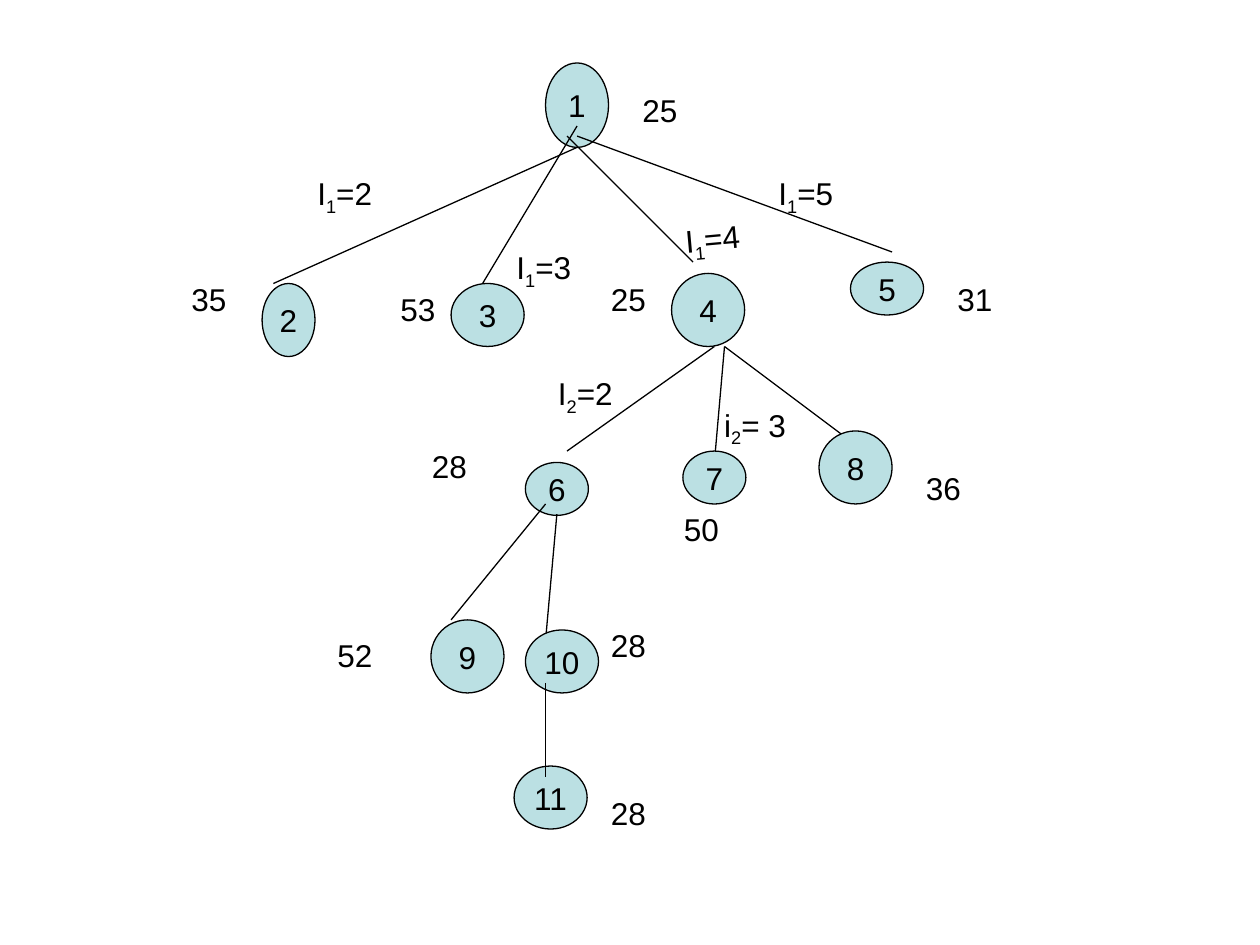
from typing import NamedTuple

from lxml import etree
from pptx import Presentation
from pptx.dml.color import RGBColor
from pptx.enum.shapes import MSO_CONNECTOR, MSO_SHAPE
from pptx.enum.text import MSO_ANCHOR, MSO_AUTO_SIZE, PP_ALIGN
from pptx.oxml.ns import qn
from pptx.util import Inches, Pt

OVAL = MSO_SHAPE.OVAL
STRAIGHT = MSO_CONNECTOR.STRAIGHT
MIDDLE = MSO_ANCHOR.MIDDLE
CENTER = PP_ALIGN.CENTER
GROW = MSO_AUTO_SIZE.SHAPE_TO_FIT_TEXT

FONT = "Arial"
SIZE = 18
INK = "000000"
TEAL = "BBE0E3"


class Node(NamedTuple):
    name: str
    left: float
    top: float
    width: float
    height: float


class Edge(NamedTuple):
    x1: float
    y1: float
    x2: float
    y2: float


class Level(NamedTuple):
    edges: list[Edge]
    nodes: list[Node]


class Cost(NamedTuple):
    value: str
    left: float
    top: float
    width: float


class Branch(NamedTuple):
    var: str
    sub: str
    rest: str
    left: float
    top: float
    width: float
    turn: float = 0


# Each level's edges lie beneath its own nodes and above the parents.
LEVELS = [
    Level([], [Node("1", 4.33, 0.5, 0.5, 0.67)]),
    Level(
        [
            Edge(4.58, 1.17, 2.17, 2.25),
            Edge(4.58, 1, 3.83, 2.25),
            Edge(4.5, 1.08, 5.5, 2.08),
            Edge(4.58, 1.08, 7.08, 2),
        ],
        [
            Node("2", 2.08, 2.25, 0.42, 0.58),
            Node("3", 3.58, 2.25, 0.58, 0.5),
            Node("4", 5.33, 2.17, 0.58, 0.58),
            Node("5", 6.75, 2.08, 0.58, 0.42),
        ],
    ),
    Level(
        [
            Edge(5.67, 2.75, 4.5, 3.58),
            Edge(5.75, 2.75, 5.67, 3.67),
            Edge(5.75, 2.75, 6.75, 3.5),
        ],
        [
            Node("6", 4.17, 3.67, 0.5, 0.42),
            Node("7", 5.42, 3.58, 0.5, 0.42),
            Node("8", 6.5, 3.42, 0.58, 0.58),
        ],
    ),
    Level(
        [Edge(4.33, 4, 3.58, 4.92), Edge(4.42, 4.08, 4.33, 5.08)],
        [Node("9", 3.42, 4.92, 0.58, 0.58), Node("10", 4.17, 5, 0.58, 0.5)],
    ),
    Level([], [Node("11", 4.08, 6.08, 0.58, 0.5)]),
    Level([Edge(4.33, 5.42, 4.33, 6.17)], []),
]

COSTS = [
    Cost("25", 5, 0.67, 0.75),
    Cost("35", 1.42, 2.17, 0.67),
    Cost("53", 3.08, 2.25, 0.58),
    Cost("25", 4.75, 2.17, 0.58),
    Cost("31", 7.5, 2.17, 0.67),
    Cost("28", 3.33, 3.5, 0.67),
    Cost("50", 5.33, 4, 0.83),
    Cost("36", 7.25, 3.67, 0.5),
    Cost("52", 2.58, 5, 0.83),
    Cost("28", 4.75, 4.92, 0.75),
    Cost("28", 4.75, 6.25, 0.67),
]

BRANCHES = [
    Branch("I", "1", "=2", 2.42, 1.33, 0.75),
    Branch("I", "1", "=3", 4, 1.92, 1),
    Branch("I", "1", "=4", 5.34, 1.67, 1.08, -5.3),
    Branch("I", "1", "=5", 6.08, 1.33, 1),
    Branch("I", "2", "=2", 4.33, 2.92, 1),
    Branch(" i", "2", "= 3", 5.58, 3.17, 1.17),
]


def color(code: str) -> RGBColor:
    return RGBColor.from_string(code)


def add_run(para, text: str, sub: bool = False) -> None:
    run = para.add_run()
    run.text = text
    run.font.name = FONT
    run.font.size = Pt(SIZE)
    run.font.color.rgb = color(INK)
    if sub:
        run._r.get_or_add_rPr().set("baseline", "-25000")


def add_box(shapes, left: float, top: float, width: float, height: float):
    """Add a label box and return it with its first paragraph."""
    box = shapes.add_textbox(*map(Inches, (left, top, width, height)))
    frame = box.text_frame
    frame.word_wrap = True
    frame.auto_size = GROW
    para = frame.paragraphs[0]
    para.space_before = Pt(11.2)
    return box, para


def draw_node(shapes, node: Node) -> None:
    oval = shapes.add_shape(OVAL, *map(Inches, node[1:]))
    oval.shadow.inherit = False
    oval.fill.solid()
    oval.fill.fore_color.rgb = color(TEAL)
    oval.line.color.rgb = color(INK)
    oval.line.width = Pt(0.75)
    frame = oval.text_frame
    frame.word_wrap = False
    frame.vertical_anchor = MIDDLE
    para = frame.paragraphs[0]
    para.alignment = CENTER
    add_run(para, node.name)


def draw_edge(shapes, edge: Edge) -> None:
    line = shapes.add_connector(STRAIGHT, *map(Inches, edge))
    line.line.color.rgb = color(INK)
    line.line.width = Pt(0.75)
    etree.SubElement(line._element.spPr, qn("a:effectLst"))


def draw_cost(shapes, cost: Cost) -> None:
    _, para = add_box(shapes, cost.left, cost.top, cost.width, 0.4)
    add_run(para, cost.value)


def draw_branch(shapes, branch: Branch) -> None:
    box, para = add_box(shapes, branch.left, branch.top, branch.width, 0.44)
    box.rotation = branch.turn
    add_run(para, branch.var)
    add_run(para, branch.sub, sub=True)
    add_run(para, branch.rest)


def main() -> None:
    deck = Presentation()
    deck.slide_width, deck.slide_height = Inches(10), Inches(7.5)
    shapes = deck.slides.add_slide(deck.slide_layouts[6]).shapes
    for level in LEVELS:
        for edge in level.edges:
            draw_edge(shapes, edge)
        for node in level.nodes:
            draw_node(shapes, node)
    for cost in COSTS:
        draw_cost(shapes, cost)
    for branch in BRANCHES:
        draw_branch(shapes, branch)
    deck.save("out.pptx")


if __name__ == "__main__":
    main()
